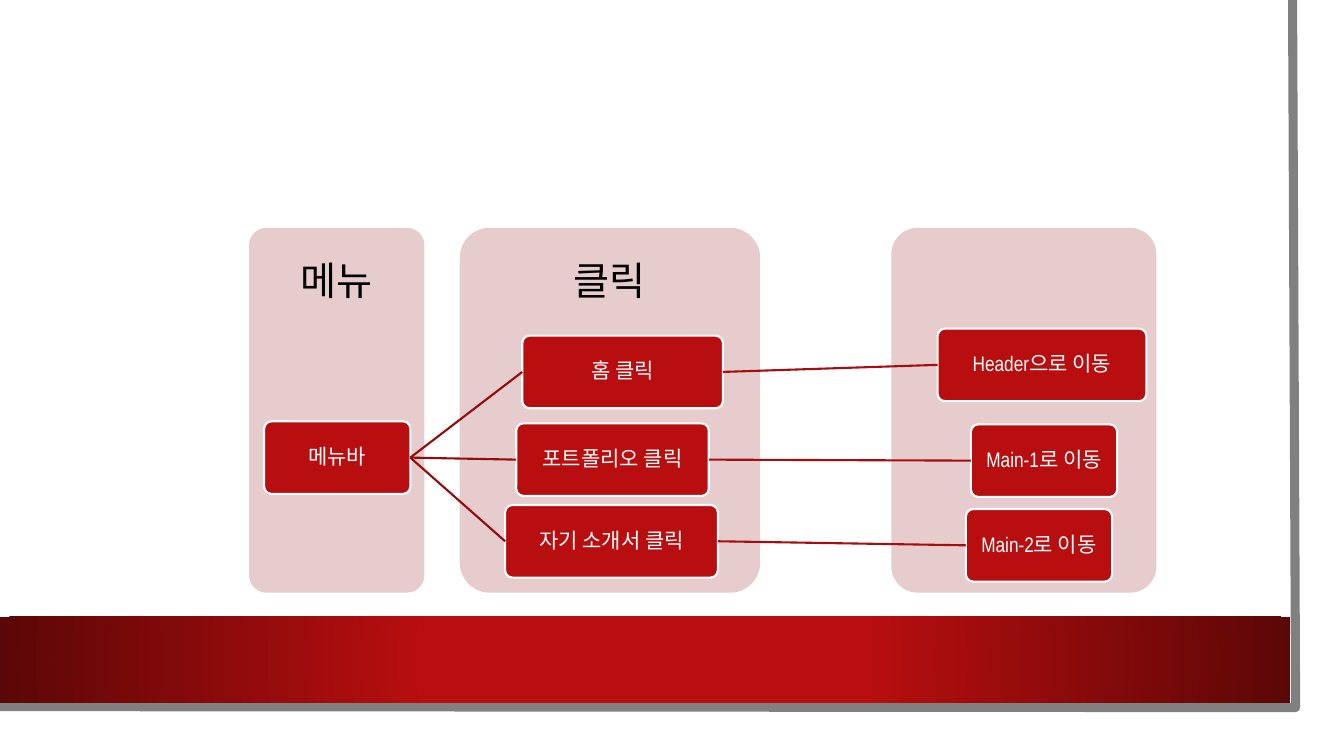
from pptx import Presentation
from pptx.dml.color import RGBColor
from pptx.enum.shapes import MSO_CONNECTOR, MSO_SHAPE
from pptx.enum.text import MSO_ANCHOR, PP_ALIGN
from pptx.oxml import parse_xml
from pptx.oxml.ns import nsdecls, qn
from pptx.util import Inches, Pt
from lxml.etree import SubElement

THEME = {
    "font": "Arial Narrow", "heading": 28, "label": 15,
    "white": RGBColor(255, 255, 255), "black": RGBColor(0, 0, 0),
    "red": RGBColor(0xB8, 0x0E, 0x0F), "dark": RGBColor(0x5C, 0x07, 0x07),
    "panel": RGBColor(0xE6, 0xCC, 0xCC), "frame": RGBColor(0x80, 0x80, 0x80),
    "branch": RGBColor(0x93, 0x0B, 0x0C), "link": RGBColor(0xA7, 0x0D, 0x0E),
}
PANEL_TOP, PANEL_H, HEADING_H, BOX_H = 2.26, 3.62, 1.09, 0.72

prs = Presentation()
prs.slide_width, prs.slide_height = Inches(13.33), Inches(7.5)
s = prs.slides.add_slide(prs.slide_layouts[6])


def add_block(x, y, w, h, fill, kind=MSO_SHAPE.ROUNDED_RECTANGLE):
    sp = s.shapes.add_shape(kind, Inches(x), Inches(y), Inches(w), Inches(h))
    sp.shadow.inherit = False
    sp.fill.solid()
    sp.fill.fore_color.rgb = THEME[fill]
    sp.line.fill.background()
    if kind == MSO_SHAPE.ROUNDED_RECTANGLE:
        sp.adjustments[0] = 0.1
    return sp


def write(sp, text, size, color, margin):
    tf = sp.text_frame
    tf.text = text
    tf.word_wrap = True
    tf.vertical_anchor = MSO_ANCHOR.MIDDLE
    tf.margin_left = tf.margin_right = Inches(margin)
    tf.margin_top = tf.margin_bottom = Inches(margin)
    p = tf.paragraphs[0]
    p.alignment = PP_ALIGN.CENTER
    p.line_spacing = 0.9
    font = p.runs[0].font
    font.name, font.size = THEME["font"], Pt(THEME[size])
    font.color.rgb = THEME[color]


# Paper with a grey edge on the right and at the bottom
add_block(0, 0, 13.1, 7.27, "white", MSO_SHAPE.RECTANGLE)
builder = s.shapes.build_freeform(Inches(12.82), 0)
builder.add_line_segments(
    [(Inches(12.85), Inches(7.02)), (Inches(-0.03), Inches(7.01))], close=False)
edge = builder.convert_to_shape()
edge.shadow.inherit = False
edge.fill.background()
edge.line.color.rgb = THEME["frame"]
edge.line.width = Pt(6.5)

# Footer band, bright in the middle and dark at the ends
band = add_block(0, 6.12, 12.8, 0.85, "red", MSO_SHAPE.RECTANGLE)
band.fill.gradient()
for stop, position, color in zip(band.fill.gradient_stops, (0.34, 1), ("red", "dark")):
    stop.position = position
    stop.color.rgb = THEME[color]
grad = band.fill._xPr.find(qn("a:gradFill"))
grad.replace(grad.find(qn("a:lin")), parse_xml(
    f'<a:path {nsdecls("a")} path="circle">'
    '<a:fillToRect l="50000" t="50000" r="50000" b="50000"/></a:path>'))

# Column panels and their headings
for x, w, heading in [(8.84, 2.63, ""), (4.56, 2.98, "클릭"), (2.47, 1.74, "메뉴")]:
    add_block(x, PANEL_TOP, w, PANEL_H, "panel")
    if heading:
        tb = s.shapes.add_textbox(Inches(x), Inches(PANEL_TOP), Inches(w), Inches(HEADING_H))
        write(tb, heading, "heading", "black", 0.22)

# Flow: name -> (text, left, top, width, parent, line colour)
flow = {
    "menu": ("메뉴바", 2.62, 4.18, 1.45, None, None),
    "home": ("홈 클릭", 5.18, 3.33, 1.99, "menu", "branch"),
    "header": ("Header으로 이동", 9.3, 3.26, 2.07, "home", "link"),
    "portfolio": ("포트폴리오 클릭", 5.12, 4.2, 1.91, "menu", "branch"),
    "main1": ("Main-1로 이동", 9.63, 4.21, 1.45, "portfolio", "link"),
    "intro": ("자기 소개서 클릭", 5.01, 5.01, 2.11, "menu", "branch"),
    "main2": ("Main-2로 이동", 9.58, 5.05, 1.45, "intro", "link"),
}
boxes = {}
for name, (text, x, y, w, parent, color) in flow.items():
    box = boxes[name] = add_block(x, y, w, BOX_H, "red")
    box.line.color.rgb = THEME["white"]
    box.line.width = Pt(1.5)
    write(box, text, "label", "white", 0.03)
    if parent:
        cn = s.shapes.add_connector(MSO_CONNECTOR.STRAIGHT, 0, 0, 0, 0)
        cn.begin_connect(boxes[parent], 3)
        cn.end_connect(box, 1)
        cn.line.color.rgb = THEME[color]
        cn.line.width = Pt(1.5)
        SubElement(cn._element.spPr, qn("a:effectLst"))

prs.save("out.pptx")
